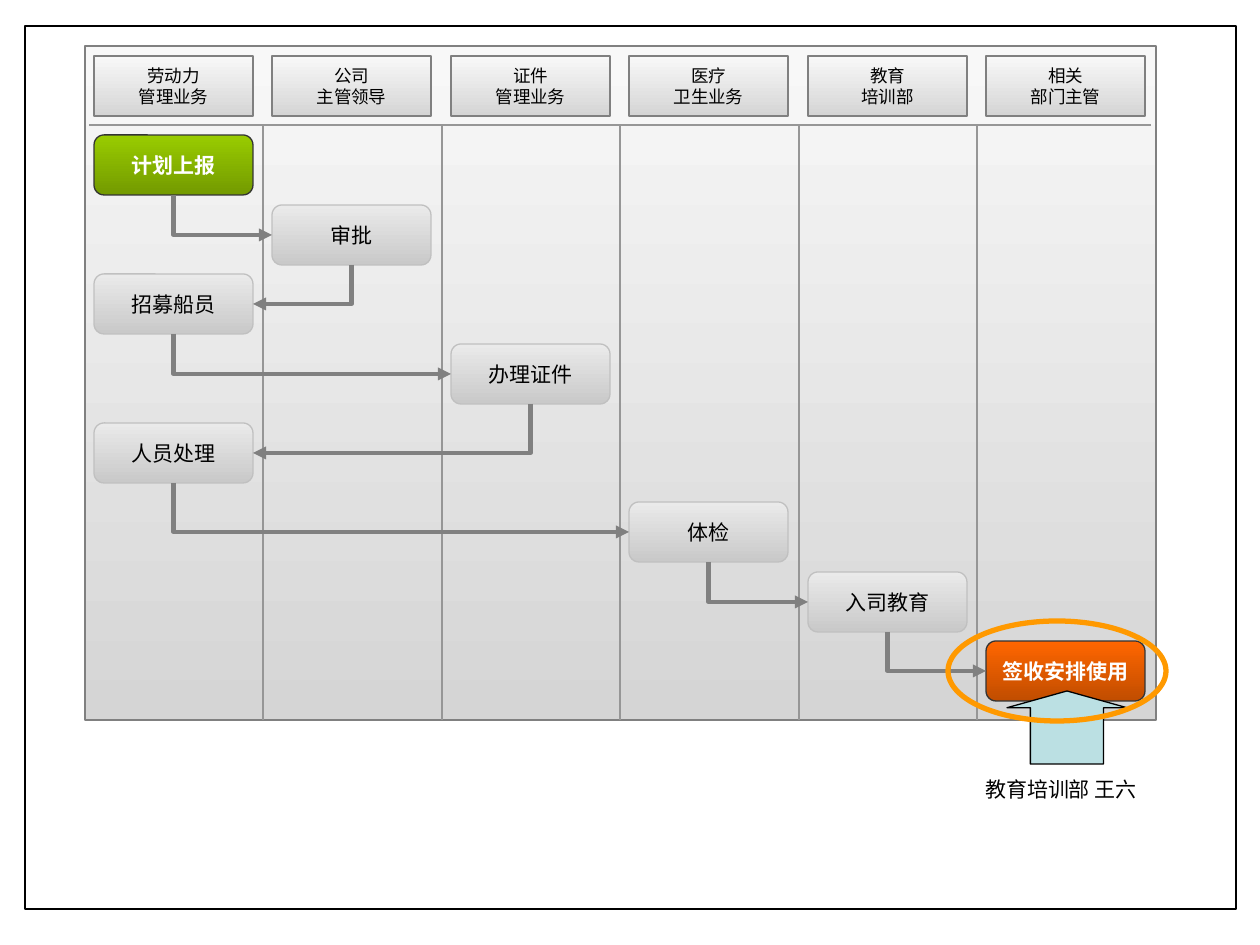
from copy import deepcopy

from lxml.etree import SubElement
from pptx import Presentation
from pptx.dml.color import RGBColor
from pptx.enum.shapes import MSO_CONNECTOR, MSO_SHAPE
from pptx.enum.text import MSO_ANCHOR, PP_ALIGN
from pptx.oxml.ns import qn
from pptx.util import Emu, Pt

PX = 914400 / 126
LEFT, TOP, WIDTH, HEIGHT = 85, 46, 1071, 674
LANES = ["劳动力\v管理业务", "公司\v主管领导", "证件\n管理业务",
         "医疗\v卫生业务", "教育\v培训部", "相关\v部门主管"]
CARD_WIDTH, CARD_HEIGHT, MARGIN = 159, 60, 9
HEADER_LINE = 125
PANEL = ("F8F8F8", "D5D5D5")
GREY = ("EAEAEA", "C9C9C9")

# Each step: text, lane, top, gradient, line, font colour, bold
STEPS = [
    ("计划上报", 0, 135, ("99CC00", "739A00"), "333333", "FFFFFF", True),
    ("审批", 1, 205, GREY, "C0C0C0", "000000", False),
    ("招募船员", 0, 274, GREY, "C0C0C0", "000000", False),
    ("办理证件", 2, 344, GREY, "C0C0C0", "000000", False),
    ("人员处理", 0, 423, GREY, "C0C0C0", "000000", False),
    ("体检", 3, 502, GREY, "C0C0C0", "000000", False),
    ("入司教育", 4, 572, GREY, "C0C0C0", "000000", False),
    ("签收安排使用", 5, 641, ("FF6600", "C14D00"), "333333", "FFFFFF", True),
]


def add_box(shapes, kind, frame, fill=None, line=None, line_width=0.75):
    """Add a preset shape; fill is a hex colour, a gradient pair or None."""
    box = shapes.add_shape(kind, *[Emu(round(v * PX)) for v in frame])
    box.shadow.inherit = False
    if fill is None:
        box.fill.background()
    elif isinstance(fill, tuple):
        box.fill.gradient()
        box.fill.gradient_angle = 270
        for stop, color in zip(box.fill.gradient_stops, fill):
            stop.color.rgb = RGBColor.from_string(color)
    else:
        box.fill.solid()
        box.fill.fore_color.rgb = RGBColor.from_string(fill)
    box.line.color.rgb = RGBColor.from_string(line)
    box.line.width = Pt(line_width)
    return box


def write(box, text, color="000000", wrap=False, **font):
    """Put centred text in a box with the given font values."""
    frame = box.text_frame
    frame.text = text
    frame.word_wrap = wrap
    for para in frame.paragraphs:
        para.alignment = PP_ALIGN.CENTER
        for span in para.runs:
            for name, value in font.items():
                setattr(span.font, name, value)
            span.font.color.rgb = RGBColor.from_string(color)
            properties = span.font._element
            SubElement(properties, qn("a:ea"), typeface="Noto Sans CJK SC")
        for line_break in para._p.findall(qn("a:br")):
            line_break.insert(0, deepcopy(properties))


deck = Presentation()
deck.slide_width, deck.slide_height = Emu(9144000), Emu(6858000)
page = deck.slides.add_slide(deck.slide_layouts[6])

# Frame and swimlane panel
add_box(page.shapes, MSO_SHAPE.RECTANGLE, (25, 26, 1211, 883), "FFFFFF", "000000")
board = page.shapes.add_group_shape().shapes
add_box(board, MSO_SHAPE.RECTANGLE, (LEFT, TOP, WIDTH, HEIGHT), PANEL, "808080")

# Lane headers
lane_lefts = [LEFT + WIDTH * lane // len(LANES) for lane in range(len(LANES))]
for left, name in zip(lane_lefts, LANES):
    header = add_box(board, MSO_SHAPE.RECTANGLE,
                     (left + MARGIN, 56, CARD_WIDTH, CARD_HEIGHT), PANEL, "808080")
    header.text_frame.vertical_anchor = MSO_ANCHOR.MIDDLE
    write(header, name, size=Pt(10), name="Arial")

# Rule under the headers and lane dividers
rules = [(LEFT + 4, HEADER_LINE, LEFT + WIDTH - 5, HEADER_LINE)]
rules += [(left, HEADER_LINE, left, TOP + HEIGHT) for left in lane_lefts[1:]]
for ends in rules:
    rule = board.add_connector(MSO_CONNECTOR.STRAIGHT,
                               *[Emu(round(v * PX)) for v in ends])
    rule.line.color.rgb = RGBColor.from_string("969696")
    rule.line.width = Pt(0.75)
    SubElement(rule._element.spPr, qn("a:effectLst"))

# Process steps
for text, lane, top, fill, line, color, bold in STEPS:
    card = add_box(board, MSO_SHAPE.ROUNDED_RECTANGLE,
                   (lane_lefts[lane] + MARGIN, top, CARD_WIDTH, CARD_HEIGHT), fill, line)
    card.text_frame.vertical_anchor = MSO_ANCHOR.MIDDLE
    write(card, text, color, size=Pt(12), name="Arial", bold=bold)

# Elbow arrows: from the bottom of a step to the near side of the next
for step, following in zip(STEPS, STEPS[1:]):
    rightward = following[1] > step[1]
    start_x = lane_lefts[step[1]] + MARGIN + CARD_WIDTH / 2
    start_y = step[2] + CARD_HEIGHT
    end_x = lane_lefts[following[1]] + MARGIN + (0 if rightward else CARD_WIDTH)
    end_y = following[2] + CARD_HEIGHT / 2
    # A quarter turn swaps width and height around the centre
    middle_x, middle_y = (start_x + end_x) / 2, (start_y + end_y) / 2
    half_width, half_height = (end_y - start_y) / 2, abs(end_x - start_x) / 2
    ends = (middle_x - half_width, middle_y - half_height,
            middle_x + half_width, middle_y + half_height)
    arrow = board.add_connector(MSO_CONNECTOR.ELBOW,
                                *[Emu(round(v * PX)) for v in ends])
    arrow.line.color.rgb = RGBColor.from_string("808080")
    arrow.line.width = Pt(2.5)
    properties = arrow._element.spPr
    properties.find(qn("a:prstGeom")).set("prst", "bentConnector2")
    turn = properties.find(qn("a:xfrm"))
    turn.set("rot", "16200000" if rightward else "5400000")
    if rightward:
        turn.set("flipH", "1")
    SubElement(properties.find(qn("a:ln")), qn("a:tailEnd"), type="triangle")
    SubElement(properties, qn("a:effectLst"))

# Highlight of the last step and its owner
pointer = add_box(page.shapes, MSO_SHAPE.UP_ARROW, (1007, 691, 120, 73), "BBE0E3", "000000")
pointer.adjustments[0] = 0.61
pointer.adjustments[1] = 0.23
add_box(page.shapes, MSO_SHAPE.OVAL, (948, 621, 218, 100), None, "FF9900", 3)
owner = page.shapes.add_textbox(*[Emu(round(v * PX)) for v in (947, 770, 228, 38)])
write(owner, "教育培训部 王六", wrap=True, size=Pt(12), name="Noto Sans CJK SC")

deck.save("out.pptx")
